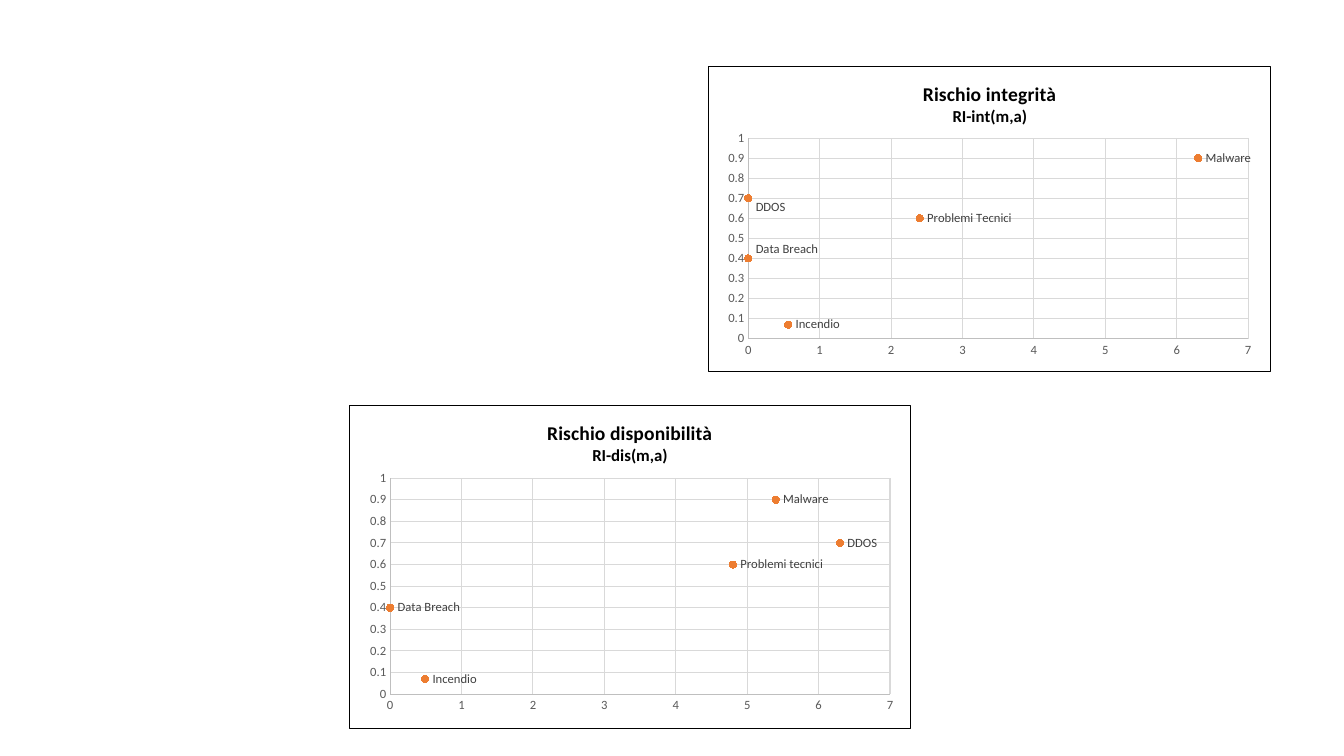
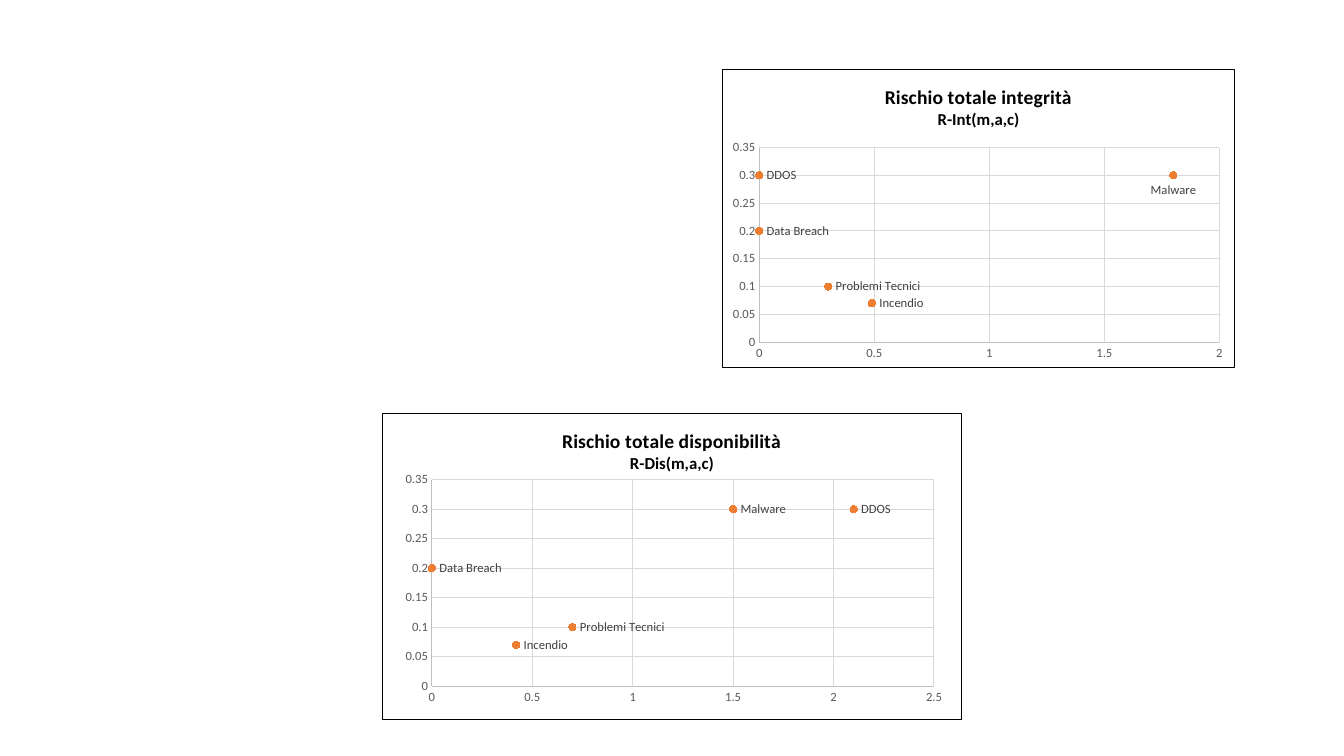
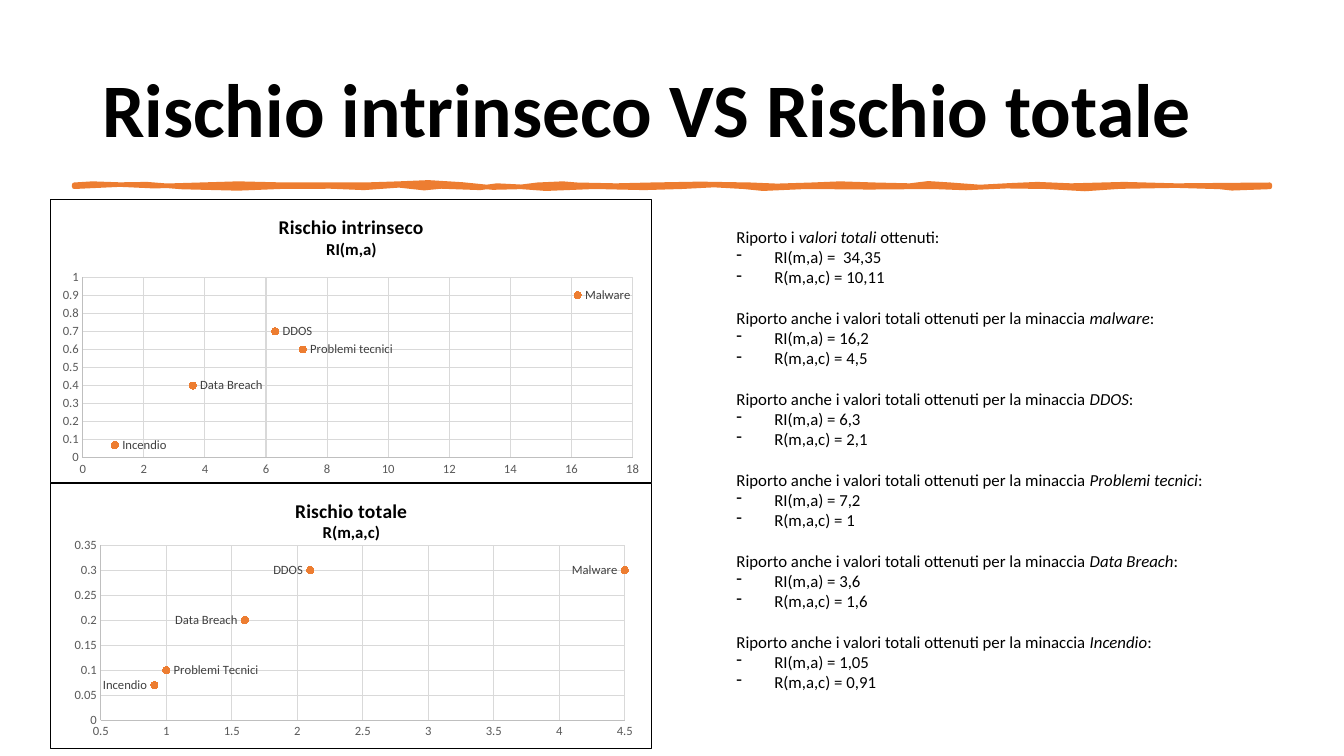
from lxml import etree
from pptx import Presentation
from pptx.chart import data
from pptx.dml.color import RGBColor
from pptx.enum import chart as ch, text
from pptx.oxml import ns, parse_xml
from pptx.util import Pt

BLACK = RGBColor(0x00, 0x00, 0x00)
WHITE = RGBColor(0xFF, 0xFF, 0xFF)
ORANGE = RGBColor(0xED, 0x7D, 0x31)
AXIS_GREY = RGBColor(0xBF, 0xBF, 0xBF)
GRID_GREY = RGBColor(0xD9, 0xD9, 0xD9)
TICK_GREY = RGBColor(0x59, 0x59, 0x59)
LABEL_GREY = RGBColor(0x40, 0x40, 0x40)
FONT = "Calibri"
HAIRLINE = Pt(0.75)

RIGHT = ch.XL_LABEL_POSITION.RIGHT
LEFT = ch.XL_LABEL_POSITION.LEFT
BELOW = ch.XL_LABEL_POSITION.BELOW

INTRINSIC_LEVELS = (0.9, 0.7, 0.6, 0.4, 0.07)
TOTAL_LEVELS = (0.3, 0.3, 0.1, 0.2, 0.07)
INTRINSIC_AXIS = (0, 1, 0.1)
TOTAL_AXIS = (0, 0.35, 0.05)
THREATS = ("Malware", "DDOS", "Problemi Tecnici", "Data Breach", "Incendio")
THREATS_LOWER = ("Malware", "DDOS", "Problemi tecnici", "Data Breach", "Incendio")

TOP_EDGE = [
    (53, 132), (66, 131.2), (89, 132), (110, 133), (143, 132), (170, 131.2),
    (204, 132), (260, 132), (285, 131.2), (306, 130.3), (330, 131.8), (352, 134),
    (372, 133.5), (384, 132), (402, 131.2), (412, 132), (440, 132.6), (465, 132),
    (500, 131.4), (536, 132), (555, 132.8), (580, 132), (600, 131.2), (625, 132),
    (650, 132.6), (663, 131), (679, 132), (700, 133.6), (722, 132.4),
    (741, 131.6), (765, 132.6), (803, 131.6), (840, 132.6), (907, 132),
]
BOTTOM_EDGE = [
    (907, 133.5), (880, 134.5), (871, 133.5), (840, 132.6), (800, 133.3),
    (775, 135), (747, 133.4), (719, 133), (690, 134.3), (666, 133.4),
    (621, 133.8), (576, 133.4), (545, 134.8), (531, 133.4), (510, 132.2),
    (487, 133.4), (460, 134.2), (425, 133.4), (390, 134.8), (371, 133.4),
    (355, 132.6), (343, 134.2), (315, 133.2), (303, 134.4), (285, 132.4),
    (260, 134.2), (236, 133.2), (200, 133.4), (170, 134.6), (130, 133.6),
    (105, 131.6), (85, 131.9), (53, 133.4),
]

RESULTS = [
    ("Riporto i ", "valori totali", " ottenuti:", " 34,35", "10,11"),
] + [
    ("Riporto anche i valori totali ottenuti per la minaccia ", threat, ":", intrinsic, total)
    for threat, intrinsic, total in (
        ("malware", "16,2", "4,5"),
        ("DDOS", "6,3", "2,1"),
        ("Problemi tecnici", "7,2", "1"),
        ("Data Breach", "3,6", "1,6"),
        ("Incendio", "1,05", "0,91"),
    )
]


def style_font(font, size, color=BLACK, bold=False):
    font.name = FONT
    font.size = Pt(size)
    font.bold = bold
    font.color.rgb = color


def manual_layout(tag_values):
    layout = parse_xml(f'<c:layout {ns.nsdecls("c")}/>')
    manual = etree.SubElement(layout, ns.qn("c:manualLayout"))
    for tag, value in tag_values:
        etree.SubElement(manual, ns.qn("c:" + tag), val=str(value))
    return layout


def set_plot_area(chart, x, y, width, height):
    plot_area = chart.element.find(".//" + ns.qn("c:plotArea"))
    old_layout = plot_area.find(ns.qn("c:layout"))
    if old_layout is not None:
        plot_area.remove(old_layout)
    plot_area.insert(0, manual_layout([
        ("layoutTarget", "inner"), ("xMode", "edge"), ("yMode", "edge"),
        ("x", x), ("y", y), ("w", width), ("h", height),
    ]))


def set_frame(chart):
    frame = parse_xml(
        f'<c:spPr {ns.nsdecls("c", "a")}>'
        f'<a:solidFill><a:srgbClr val="{WHITE}"/></a:solidFill>'
        f'<a:ln w="{HAIRLINE}"><a:solidFill><a:srgbClr val="{BLACK}"/></a:solidFill></a:ln>'
        '</c:spPr>'
    )
    chart.element.find(ns.qn("c:chart")).addnext(frame)


def set_title(chart, heading, formula):
    frame = chart.chart_title.text_frame
    frame.text = heading
    style_font(frame.paragraphs[0].font, 14, bold=True)
    paragraph = frame.add_paragraph()
    paragraph.text = formula
    style_font(paragraph.font, 12, bold=True)


def style_axis(axis, minimum, maximum, step):
    axis.minimum_scale = minimum
    axis.maximum_scale = maximum
    axis.major_unit = step
    axis.major_tick_mark = axis.minor_tick_mark = ch.XL_TICK_MARK.NONE
    axis.has_major_gridlines = True
    for line, color in ((axis.format.line, AXIS_GREY),
                        (axis.major_gridlines.format.line, GRID_GREY)):
        line.width = HAIRLINE
        line.color.rgb = color
    style_font(axis.tick_labels.font, 9, TICK_GREY)


def label_point(point, name, position, shift):
    label = point.data_label
    label.text_frame.text = name
    style_font(label.text_frame.paragraphs[0].font, 9, LABEL_GREY)
    label.position = position
    if shift:
        label_element = label.text_frame._txBody.getparent().getparent()
        label_element.find(ns.qn("c:idx")).addnext(manual_layout([("x", 0), ("y", shift)]))


def add_risk_chart(slide, box, title, risks, levels, x_axis, y_axis, plot,
                   names=THREATS, positions=None, shifts=None):
    chart_data = data.XyChartData()
    series_data = chart_data.add_series("Series 1")
    for risk, level in zip(risks, levels):
        series_data.add_data_point(risk, level)
    chart = slide.shapes.add_chart(
        ch.XL_CHART_TYPE.XY_SCATTER, *map(Pt, box), chart_data).chart
    style_font(chart.font, 10)
    chart.has_legend = False
    set_title(chart, *title)
    set_frame(chart)
    set_plot_area(chart, *plot)
    style_axis(chart.category_axis, *x_axis)
    style_axis(chart.value_axis, *y_axis)
    chart.plots[0].vary_by_categories = False

    series = chart.plots[0].series[0]
    series.format.line.fill.background()
    series.marker.style = ch.XL_MARKER_STYLE.CIRCLE
    series.marker.size = 5
    series.marker.format.fill.solid()
    series.marker.format.fill.fore_color.rgb = ORANGE
    series.marker.format.line.color.rgb = ORANGE
    for index, name in enumerate(names):
        label_point(series.points[index], name,
                    (positions or {}).get(name, RIGHT), (shifts or {}).get(name))


def add_text_box(slide, left, top, width, height):
    frame = slide.shapes.add_textbox(Pt(left), Pt(top), Pt(width), Pt(height)).text_frame
    frame.word_wrap = True
    return frame


def add_title(slide, title):
    frame = add_text_box(slide, 66, 29, 828, 104)
    frame.vertical_anchor = text.MSO_ANCHOR.MIDDLE
    paragraph = frame.paragraphs[0]
    paragraph.text = title
    paragraph.line_spacing = 0.9
    style_font(paragraph.font, 54, bold=True)


def add_brush_line(slide):
    start, *rest = [(Pt(x), Pt(y)) for x, y in TOP_EDGE + BOTTOM_EDGE]
    builder = slide.shapes.build_freeform(*start)
    builder.add_line_segments(rest, close=True)
    shape = builder.convert_to_shape()
    shape.shadow.inherit = False
    shape.fill.solid()
    shape.fill.fore_color.rgb = ORANGE
    shape.line.color.rgb = ORANGE
    shape.line.width = Pt(3.25)


def add_dash_item(frame, item):
    paragraph = frame.add_paragraph()
    paragraph.text = item
    style_font(paragraph.font, 12)
    properties = paragraph._p.get_or_add_pPr()
    properties.set("marL", str(Pt(27)))
    properties.set("indent", str(Pt(-27)))
    bullet = parse_xml(f'<a:buChar {ns.nsdecls("a")} char="-"/>')
    properties.insert_element_before(bullet, "a:tabLst", "a:defRPr", "a:extLst")


def add_results(slide):
    frame = add_text_box(slide, 519, 158.4, 405, 356)
    for index, (lead, subject, tail, intrinsic, total) in enumerate(RESULTS):
        paragraph = frame.add_paragraph() if index else frame.paragraphs[0]
        style_font(paragraph.font, 12)
        if index:
            paragraph.space_before = Pt(14.6)
        for words in (lead, subject, tail):
            run = paragraph.add_run()
            run.text = words
            run.font.italic = words == subject
        add_dash_item(frame, f"RI(m,a) = {intrinsic}")
        add_dash_item(frame, f"R(m,a,c) = {total}")


def add_intrinsic_slide(slide):
    add_risk_chart(slide, (506, 47, 402, 219), ("Rischio integrità", "RI-int(m,a)"),
                   (6.3, 0, 2.4, 0, 0.56), INTRINSIC_LEVELS, (0, 7, 1), INTRINSIC_AXIS,
                   (0.07, 0.235, 0.89, 0.657),
                   shifts={"DDOS": 0.03, "Data Breach": -0.03})
    add_risk_chart(slide, (249, 289, 402, 232), ("Rischio disponibilità", "RI-dis(m,a)"),
                   (5.4, 6.3, 4.8, 0, 0.49), INTRINSIC_LEVELS, (0, 7, 1), INTRINSIC_AXIS,
                   (0.073, 0.226, 0.89, 0.667), THREATS_LOWER)


def add_total_slide(slide):
    add_risk_chart(slide, (516, 49, 366, 214), ("Rischio totale integrità", "R-Int(m,a,c)"),
                   (1.8, 0, 0.3, 0, 0.49), TOTAL_LEVELS, (0, 2, 0.5), TOTAL_AXIS,
                   (0.071, 0.263, 0.9, 0.652), positions={"Malware": BELOW})
    add_risk_chart(slide, (273, 295, 414, 219), ("Rischio totale disponibilità", "R-Dis(m,a,c)"),
                   (1.5, 2.1, 0.7, 0, 0.42), TOTAL_LEVELS, (0, 2.5, 0.5), TOTAL_AXIS,
                   (0.085, 0.217, 0.868, 0.676))


def add_comparison_slide(slide):
    add_title(slide, "Rischio intrinseco VS Rischio totale")
    add_brush_line(slide)
    add_risk_chart(slide, (36, 142, 430, 203), ("Rischio intrinseco", "RI(m,a)"),
                   (16.2, 6.3, 7.2, 3.6, 1.05), INTRINSIC_LEVELS, (0, 18, 2), INTRINSIC_AXIS,
                   (0.053, 0.276, 0.915, 0.637), THREATS_LOWER)
    add_risk_chart(slide, (36, 345, 430, 190), ("Rischio totale", "R(m,a,c)"),
                   (4.5, 2.1, 1, 1.6, 0.91), TOTAL_LEVELS, (0.5, 4.5, 0.5), TOTAL_AXIS,
                   (0.083, 0.233, 0.872, 0.661),
                   positions=dict.fromkeys(("Malware", "DDOS", "Data Breach", "Incendio"), LEFT))
    add_results(slide)


def main():
    presentation = Presentation()
    presentation.slide_width = Pt(960)
    presentation.slide_height = Pt(540)
    for fill_slide in (add_intrinsic_slide, add_total_slide, add_comparison_slide):
        fill_slide(presentation.slides.add_slide(presentation.slide_layouts[6]))
    presentation.save("out.pptx")


if __name__ == "__main__":
    main()
